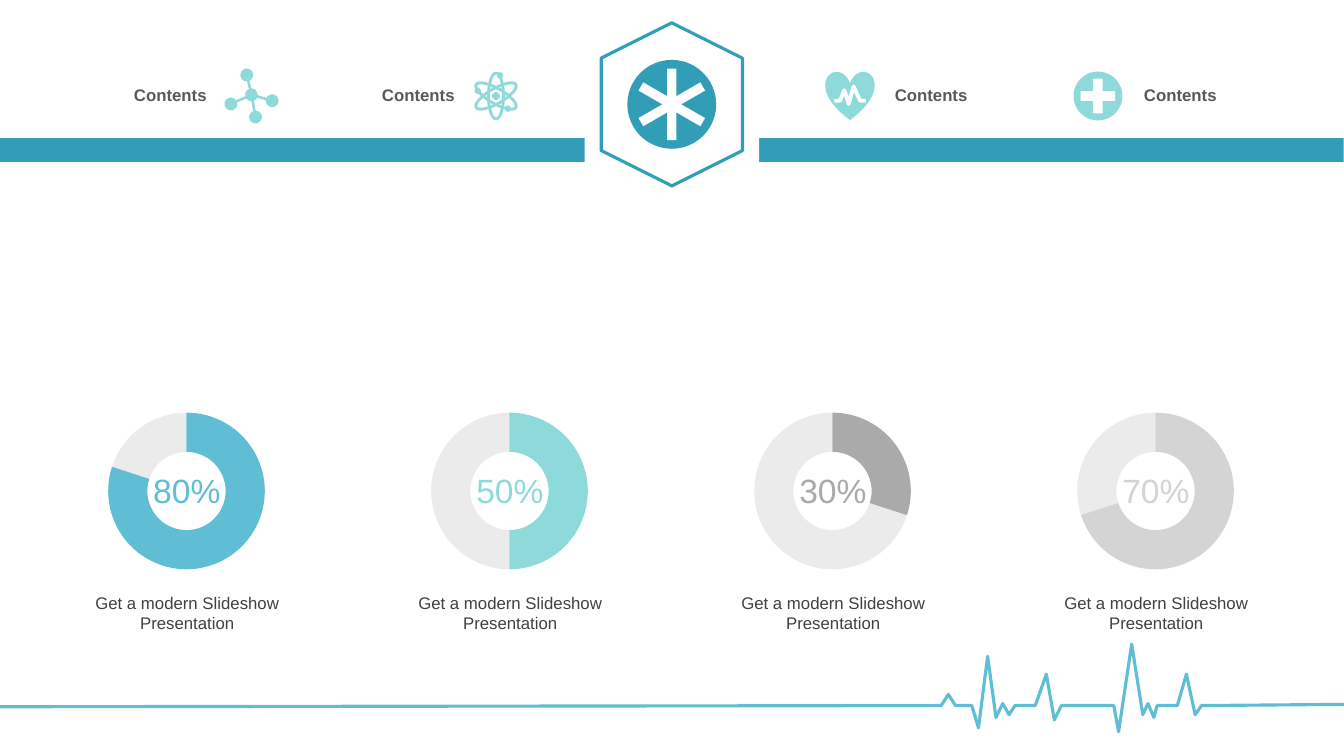
from math import atan2, cos, pi, sin

from lxml import etree
from pptx import Presentation
from pptx.chart.data import CategoryChartData
from pptx.dml.color import RGBColor
from pptx.enum.chart import XL_CHART_TYPE
from pptx.enum.shapes import MSO_SHAPE
from pptx.enum.text import MSO_ANCHOR, PP_ALIGN
from pptx.oxml import parse_xml
from pptx.oxml.ns import nsdecls, qn
from pptx.util import Cm, Pt

RECT, OVAL, HEX = MSO_SHAPE.RECTANGLE, MSO_SHAPE.OVAL, MSO_SHAPE.HEXAGON
CROSS, HEART = MSO_SHAPE.CROSS, MSO_SHAPE.HEART
LEFT, MID, RIGHT = PP_ALIGN.LEFT, PP_ALIGN.CENTER, PP_ALIGN.RIGHT
TOP, CENTER, BASE = MSO_ANCHOR.TOP, MSO_ANCHOR.MIDDLE, MSO_ANCHOR.BOTTOM
RING = XL_CHART_TYPE.DOUGHNUT
TEAL, BLUE, MINT, WHITE = "319DB6", "60BED4", "8EDADA", "FFFFFF"
FONT = "Arial"

tint = RGBColor.from_string
deck = Presentation()
deck.slide_width, deck.slide_height = Cm(33.87), Cm(19.05)
slide = deck.slides.add_slide(deck.slide_layouts[6])
shapes = slide.shapes


def draw(kind, x, y, w, h, fill=None, line=None, width=0, turn=0):
    """Add a preset shape centred on x, y."""
    shape = shapes.add_shape(kind, Cm(x - w / 2), Cm(y - h / 2), Cm(w), Cm(h))
    shape.shadow.inherit = False
    shape.rotation = turn
    if fill:
        shape.fill.solid()
        shape.fill.fore_color.rgb = tint(fill)
    else:
        shape.fill.background()
    if line:
        shape.line.color.rgb = tint(line)
        shape.line.width = Pt(width)
    else:
        shape.line.fill.background()
    return shape


def write(text, x, y, w, h, size, color, align, anchor, bold=False):
    box = shapes.add_textbox(Cm(x), Cm(y), Cm(w), Cm(h))
    frame = box.text_frame
    frame.word_wrap = True
    frame.vertical_anchor = anchor
    para = frame.paragraphs[0]
    para.text = text
    para.alignment = align
    para.font.name, para.font.size, para.font.bold = FONT, Pt(size), bold
    para.font.color.rgb = tint(color)


# Header band with its badge
draw(RECT, 16.93, 3.78, 33.87, 0.6, TEAL)
draw(HEX, 16.93, 2.63, 5.1, 4.4, WHITE, turn=90)
draw(HEX, 16.93, 2.63, 4.11, 3.56, WHITE, TEAL, 2.25, 90)
draw(OVAL, 16.93, 2.63, 2.24, 2.24, TEAL)
for turn in (0, 60, 120):
    draw(RECT, 16.93, 2.63, 0.24, 1.8, WHITE, turn=turn)

# Header labels
for x, align in ((2.39, RIGHT), (8.64, RIGHT), (22.3, LEFT), (28.58, LEFT)):
    write("Contents", x, 1.9, 3.07, 1, 12, "595959", align, CENTER, True)

# Molecule outline: out along each bond, round its atom and back to the hub
hub = (6.34, 2.39)
atoms = [(6.22, 1.89), (6.86, 2.54), (6.44, 2.95), (5.82, 2.62)]
size, gap, steps = 0.16, 0.2, 24
mesh = []
for x, y in atoms:
    way = atan2(y - hub[1], x - hub[0])
    mesh.append((*hub, way - gap))
    for step in range(steps + 1):
        mesh.append((x, y, way + (pi - gap) * (2 * step / steps - 1)))
    mesh += [(*hub, way + gap + 0.2 * step) for step in range(5)]
rim = [(x + size * cos(a), y + size * sin(a)) for x, y, a in mesh]

# Atom
for turn in (0, 60, 120):
    draw(OVAL, 12.5, 2.42, 0.38, 1.16, line=MINT, width=2, turn=turn)
for x, y, wide in ((12.5, 2.42, 0.2), (12.6, 1.9, 0.16),
                   (12.04, 2.29, 0.16), (12.8, 2.74, 0.16)):
    draw(OVAL, x, y, wide, wide, MINT)

# Heart and medical cross
draw(HEART, 21.42, 2.41, 1.24, 1.23, MINT)
draw(OVAL, 27.67, 2.42, 1.23, 1.23, MINT)
plus = draw(CROSS, 27.67, 2.42, 0.87, 0.87, WHITE)
plus.adjustments[0] = 0.36

# Molecule, then pulse lines in the heart and along the foot
pulse = [(21.03, 2.54), (21.17, 2.54), (21.28, 2.27), (21.39, 2.62),
         (21.51, 2.18), (21.68, 2.54), (21.82, 2.54)]
foot = [(33.87, 17.75), (30.28, 17.78), (30.12, 18.01), (29.9, 16.99),
        (29.67, 17.78), (29.16, 17.78), (29.08, 18.08), (28.93, 17.73),
        (28.8, 18.01), (28.52, 16.23), (28.19, 18.44), (28.07, 17.78),
        (26.75, 17.78), (26.57, 18.14), (26.37, 16.99), (26.09, 17.78),
        (25.58, 17.78), (25.43, 18.01), (25.27, 17.73), (25.1, 18.08),
        (24.89, 16.54), (24.66, 18.34), (24.49, 17.78), (24.08, 17.78),
        (23.9, 17.5), (23.72, 17.78), (-0.05, 17.81)]
for points, color, width in ((rim, MINT, 0), (pulse, WHITE, 2.75),
                             (foot, BLUE, 2.25)):
    spots = [(Cm(x), Cm(y)) for x, y in points]
    path = shapes.build_freeform(*spots[0])
    path.add_line_segments(spots[1:], close=not width)
    trace = path.convert_to_shape()
    trace.shadow.inherit = False
    if width:
        trace.fill.background()
        trace.line.color.rgb = tint(color)
        trace.line.width = Pt(width)
    else:
        trace.fill.solid()
        trace.fill.fore_color.rgb = tint(color)
        trace.line.fill.background()

# Doughnut columns
LAYOUT = (f'<c:layout {nsdecls("c")}><c:manualLayout>'
          '<c:layoutTarget val="inner"/><c:xMode val="edge"/><c:yMode val="edge"/>'
          '<c:x val="0.03"/><c:y val="0.1"/><c:w val="0.95"/><c:h val="0.84"/>'
          '</c:manualLayout></c:layout>')
for col, (share, color) in enumerate(((80, BLUE), (50, MINT),
                                      (30, "AAAAAA"), (70, "D4D4D4"))):
    x = 4.7 + col * 8.14
    draw(OVAL, x - 0.03, 12.38, 4.39, 4.39, WHITE)
    data = CategoryChartData()
    data.categories = ["1", "2"]
    data.add_series("Series 1", (share, 100 - share))
    chart = shapes.add_chart(RING, Cm(x - 2.17), Cm(9.93),
                             Cm(4.3), Cm(4.7), data).chart
    chart.has_title = chart.has_legend = False
    chart.font.name, chart.font.size = FONT, Pt(18)
    chart.font.color.rgb = tint("000000")
    plot = chart.plots[0]
    plot.has_data_labels = False
    for index, shade in enumerate((color, "BEBFBF")):
        part = plot.series[0].points[index].format
        part.fill.solid()
        part.fill.fore_color.rgb = tint(shade)
        part.line.fill.background()
    # The loop ends on the pale slice
    rgb = next(part.fill._xPr.iter(qn("a:srgbClr")))
    etree.SubElement(rgb, qn("a:alpha")).set("val", "30000")
    area = chart._chartSpace.chart.plotArea
    for old in area.findall(qn("c:layout")):
        area.remove(old)
    area.insert(0, parse_xml(LAYOUT))
    next(area.iter(qn("c:holeSize"))).set("val", "75")
    write(f"{share}%", x - 1.11, 11.71, 2.24, 1.27, 24, color, MID, BASE)
    write("Get a modern Slideshow Presentation", x - 2.78, 14.81, 5.6, 1.27,
          12, "404040", MID, TOP)

deck.save("out.pptx")
